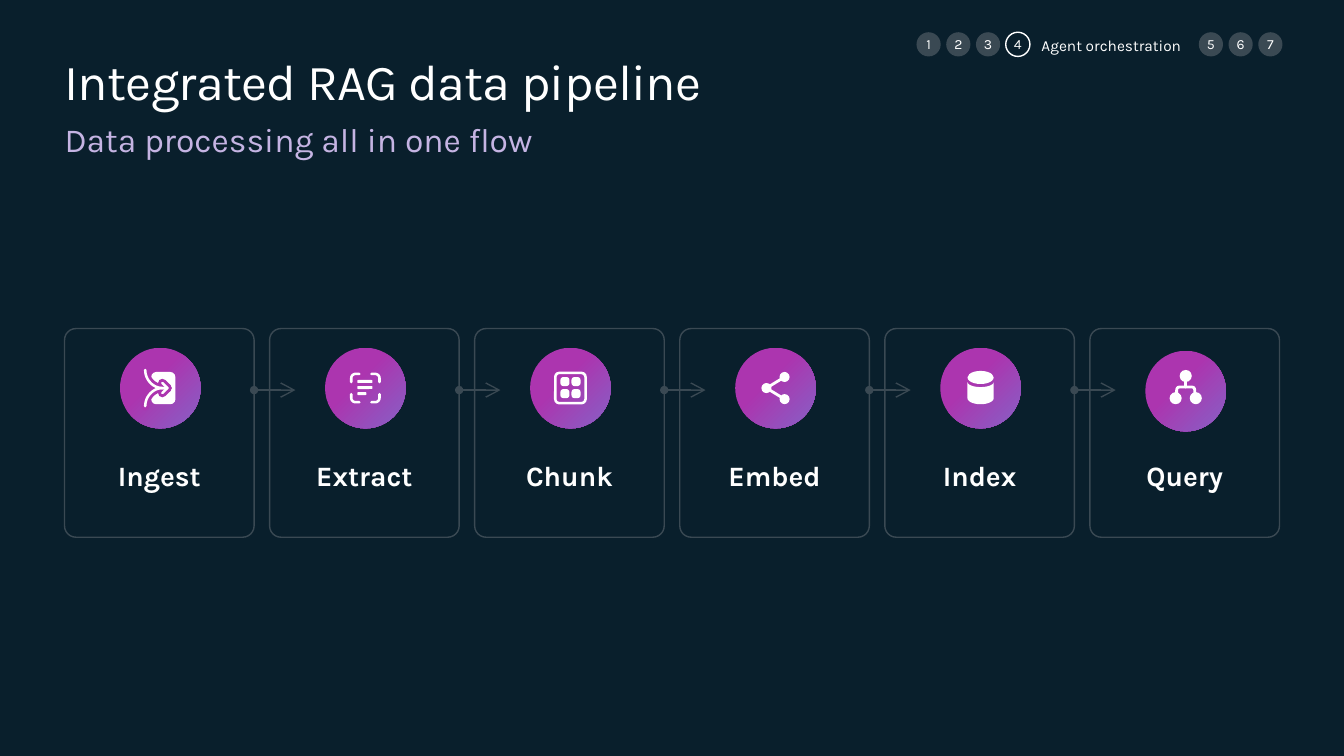
from dataclasses import dataclass
from math import cos, pi, sin
from typing import Any, Callable

from lxml import etree
from pptx import Presentation
from pptx.dml.color import RGBColor
from pptx.enum.shapes import MSO_CONNECTOR, MSO_SHAPE
from pptx.enum.text import MSO_ANCHOR, MSO_AUTO_SIZE, PP_ALIGN
from pptx.oxml import parse_xml
from pptx.oxml.ns import nsdecls, qn
from pptx.util import Inches, Pt

STRAIGHT = MSO_CONNECTOR.STRAIGHT
OVAL, ROUNDED = MSO_SHAPE.OVAL, MSO_SHAPE.ROUNDED_RECTANGLE
TOP, MIDDLE = MSO_ANCHOR.TOP, MSO_ANCHOR.MIDDLE
LEFT, CENTER = PP_ALIGN.LEFT, PP_ALIGN.CENTER
NO_AUTOFIT = MSO_AUTO_SIZE.NONE

FONT = "Karla"
COLORS = {"night": "091F2C", "slate": "3A4953", "white": "FFFFFF",
          "lilac": "C5B4E3", "magenta": "AC35AF", "violet": "8661C5"}

MARGIN, CARD_TOP, CARD_WIDTH, CARD_HEIGHT = 0.64, 3.26, 1.88, 2.07
LAST_CARD_LEFT = 10.81
DISC_SIZE, DISC_MIDDLE, DISC_OFFSET = 0.8, 3.85, 0.95
LABEL_TOP, LABEL_HEIGHT = 4.55, 0.34
ARROW_TOP, ARROW_LENGTH = 3.87, 0.41
BADGE_TOP, BADGE_SIZE, BADGE_PITCH = 0.32, 0.24, 0.295

Point = tuple[float, float]


def rgb(color: str) -> RGBColor:
    return RGBColor.from_string(COLORS[color])


def style(shape: Any, fill: str = "", line: str = "", width: float = 1) -> None:
    """Set fill and line; an empty name means none."""
    shape.shadow.inherit = False
    for part, color in ((shape.fill, fill), (shape.line.fill, line)):
        if color:
            part.solid()
            part.fore_color.rgb = rgb(color)
        else:
            part.background()
    if line:
        shape.line.width = Pt(width)


def write(shape: Any, text: str, size: float, color: str = "white",
          align: Any = LEFT, anchor: Any = TOP, bold: bool = False,
          inset: float = 0, wrap: bool = True) -> Any:
    frame = shape.text_frame
    frame.margin_left = Inches(inset)
    frame.margin_top = frame.margin_right = frame.margin_bottom = 0
    frame.word_wrap, frame.vertical_anchor = wrap, anchor
    frame.auto_size = NO_AUTOFIT
    para = frame.paragraphs[0]
    para.text, para.alignment = text, align
    para.font.name, para.font.size, para.font.bold = FONT, Pt(size), bold
    para.font.color.rgb = rgb(color)
    return para


def add_line(shapes: Any, start: Point, end: Point, color: str, width: float) -> Any:
    line = shapes.add_connector(STRAIGHT, *map(Inches, start + end))
    line.line.color.rgb, line.line.width = rgb(color), Pt(width)
    etree.SubElement(line.element.spPr, qn("a:effectLst"))
    return line


def bezier(a: Point, b: Point, c: Point, d: Point, steps: int = 12) -> list[Point]:
    times = [i / steps for i in range(steps + 1)]
    return [tuple((1 - t) ** 3 * p + 3 * t * (1 - t) ** 2 * q
                  + 3 * t * t * (1 - t) * r + t ** 3 * s
                  for p, q, r, s in zip(a, b, c, d)) for t in times]


def arc(rx: float, ry: float, middle: float, start: int, end: int) -> list[Point]:
    """Points on a flat ellipse centred at (0, middle), angles in degrees."""
    angles = [pi * (start + (end - start) * i / 24) / 180 for i in range(25)]
    return [(rx * cos(a), middle + ry * sin(a)) for a in angles]


@dataclass
class Icon:
    """Draws white marks at offsets from a disc's centre."""
    shapes: Any
    x: float
    y: float

    def place(self, point: Point) -> Point:
        return self.x + point[0], self.y + point[1]

    def block(self, kind: Any, left: float, top: float, width: float, height: float,
              radius: float = 0, outline: float = 0) -> None:
        x, y = self.place((left, top))
        shape = self.shapes.add_shape(kind, *map(Inches, (x, y, width, height)))
        if radius:
            shape.adjustments[0] = radius / min(width, height)
        style(shape, "" if outline else "white", "white" if outline else "", outline)

    def dot(self, x: float, y: float, radius: float) -> None:
        self.block(OVAL, x - radius, y - radius, 2 * radius, 2 * radius)

    def outline(self, points: list[Point], close: bool) -> Any:
        places = [tuple(map(Inches, self.place(p))) for p in points]
        builder = self.shapes.build_freeform(*places[0])
        builder.add_line_segments(places[1:], close=close)
        return builder.convert_to_shape()

    def stroke(self, points: list[Point], width: float, color: str = "white") -> None:
        shape = self.outline(points, False)
        style(shape, "", color, width)
        line = shape.element.spPr.get_or_add_ln()
        line.set("cap", "rnd")
        etree.SubElement(line, qn("a:round"))


def draw_ingest(icon: Icon) -> None:
    icon.block(ROUNDED, -0.09, -0.16, 0.24, 0.32, 0.05)
    tails = [bezier((-0.15, side * 0.18), (-0.15, side * 0.08), (-0.07, 0), (0.02, 0))
             + [(0.07, 0)] for side in (-1, 1)]
    head = [(0.02, -0.05), (0.07, 0), (0.02, 0.05)]
    for color, width in (("magenta", 6), ("white", 1.8)):
        for points in tails + [head]:
            icon.stroke(points, width, color)


def draw_extract(icon: Icon) -> None:
    corner = [(0.14, 0.06), *bezier((0.14, 0.1), (0.14, 0.12), (0.12, 0.14), (0.1, 0.14)),
              (0.06, 0.14)]
    for sx in (-1, 1):
        for sy in (-1, 1):
            icon.stroke([(sx * x, sy * y) for x, y in corner], 1.8)
    for row, width in enumerate((0.15, 0.15, 0.09)):
        icon.block(ROUNDED, -0.08, -0.08 + 0.06 * row, width, 0.03, 0.01)


def draw_chunk(icon: Icon) -> None:
    icon.block(ROUNDED, -0.15, -0.15, 0.3, 0.3, 0.04, 1.8)
    for left in (-0.1, 0.01):
        for top in (-0.11, 0.01):
            icon.block(ROUNDED, left, top, 0.09, 0.09, 0.03)


def draw_embed(icon: Icon) -> None:
    hub = (-0.09, 0)
    for node in ((0.09, -0.11), (0.09, 0.11)):
        add_line(icon.shapes, icon.place(hub), icon.place(node), "white", 2)
        icon.dot(*node, 0.05)
    icon.dot(*hub, 0.05)


def draw_index(icon: Icon) -> None:
    icon.block(OVAL, -0.13, -0.17, 0.26, 0.13)
    body = arc(0.13, 0.05, -0.06, 180, 0) + arc(0.13, 0.06, 0.1, 0, 180)
    style(icon.outline(body, True), "white")


def draw_query(icon: Icon) -> None:
    half = [(0, -0.04), *bezier((0.06, -0.04), (0.08, -0.04), (0.09, -0.03), (0.09, 0)),
            (0.09, 0.05)]
    add_line(icon.shapes, icon.place((0, -0.15)), icon.place((0, -0.04)), "white", 2)
    icon.dot(0, -0.15, 0.06)
    for side in (-1, 1):
        icon.stroke([(side * x, y) for x, y in half], 2)
        icon.dot(side * 0.1, 0.07, 0.06)


@dataclass
class Step:
    name: str
    draw: Callable[[Icon], None]
    drop: float = 0


STEPS = [Step("Ingest", draw_ingest), Step("Extract", draw_extract),
         Step("Chunk", draw_chunk), Step("Embed", draw_embed),
         Step("Index", draw_index), Step("Query", draw_query, 0.03)]


def add_disc(shapes: Any, x: float, y: float) -> None:
    disc = shapes.add_shape(OVAL, Inches(x - DISC_SIZE / 2), Inches(y - DISC_SIZE / 2),
                            Inches(DISC_SIZE), Inches(DISC_SIZE))
    style(disc, "magenta")
    properties = disc.element.spPr
    stops = "".join(f'<a:gs pos="{pos}"><a:srgbClr val="{COLORS[color]}"/></a:gs>'
                    for pos, color in ((0, "violet"), (60000, "magenta")))
    properties.replace(properties.find(qn("a:solidFill")), parse_xml(
        f'<a:gradFill {nsdecls("a")}><a:gsLst>{stops}</a:gsLst><a:path path="circle">'
        '<a:fillToRect l="100000" t="100000"/></a:path></a:gradFill>'))


def add_step(shapes: Any, step: Step, left: float) -> None:
    card = shapes.add_shape(ROUNDED, *map(Inches, (left, CARD_TOP, CARD_WIDTH, CARD_HEIGHT)))
    card.adjustments[0] = 0.06
    style(card, "", "slate")
    x, y = left + DISC_OFFSET, DISC_MIDDLE + step.drop
    add_disc(shapes, x, y)
    step.draw(Icon(shapes, x, y))
    label = shapes.add_textbox(*map(Inches, (left, LABEL_TOP, CARD_WIDTH, LABEL_HEIGHT)))
    write(label, step.name, 20, align=CENTER, bold=True)


def add_flow_arrow(shapes: Any, left: float) -> None:
    arrow = add_line(shapes, (left, ARROW_TOP), (left + ARROW_LENGTH, ARROW_TOP), "slate", 1)
    line = arrow.element.spPr.get_or_add_ln()
    etree.SubElement(line, qn("a:headEnd"), type="oval")
    etree.SubElement(line, qn("a:tailEnd"), type="arrow", w="lg", len="lg")


def add_badges(shapes: Any, numbers: range, left: float, current: int) -> None:
    for i, number in enumerate(numbers):
        badge = shapes.add_shape(OVAL, Inches(left + BADGE_PITCH * i), Inches(BADGE_TOP),
                                 Inches(BADGE_SIZE), Inches(BADGE_SIZE))
        active = number == current
        style(badge, "night" if active else "slate", "white" if active else "")
        write(badge, str(number), 10, align=CENTER, anchor=MIDDLE, wrap=False)


def main() -> None:
    deck = Presentation()
    deck.slide_width, deck.slide_height = Inches(13.33), Inches(7.5)
    page = deck.slides.add_slide(deck.slide_layouts[5])
    page.background.fill.solid()
    page.background.fill.fore_color.rgb = rgb("night")
    shapes = page.shapes

    title = shapes.title
    title.left, title.top, title.width, title.height = map(Inches, (MARGIN, 0.5, 7.93, 0.61))
    heading = write(title, "Integrated RAG data pipeline", 36)
    heading.runs[0].font._element.set("spc", "-50")
    subtitle = shapes.add_textbox(*map(Inches, (MARGIN, 1.18, 7.07, 0.4)))
    write(subtitle, "Data processing all in one flow", 24, "lilac")

    pitch = (LAST_CARD_LEFT - MARGIN) / (len(STEPS) - 1)
    for i, step in enumerate(STEPS):
        add_step(shapes, step, MARGIN + pitch * i)
    for i in range(len(STEPS) - 1):
        add_flow_arrow(shapes, MARGIN + pitch * i + CARD_WIDTH)

    add_badges(shapes, range(1, 5), 9.09, 4)
    add_badges(shapes, range(5, 8), 11.89, 4)
    section = shapes.add_textbox(*map(Inches, (10.21, 0.35, 1.53, 0.19)))
    write(section, "Agent orchestration", 11, anchor=MIDDLE, inset=0.12, wrap=False)
    deck.save("out.pptx")


if __name__ == "__main__":
    main()
